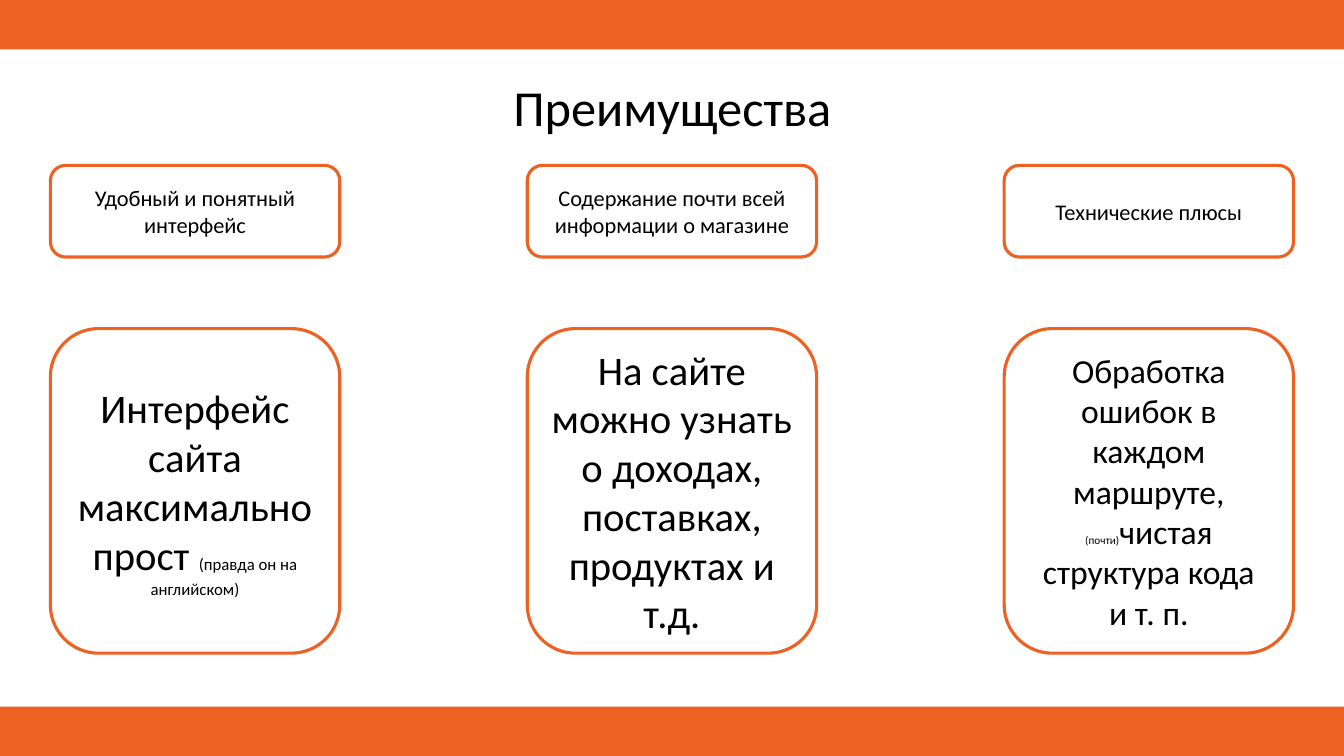
import dataclasses

import pptx
import pptx.dml.color
import pptx.enum.shapes
import pptx.enum.text
import pptx.util

Inches = pptx.util.Inches
Color = pptx.dml.color.RGBColor.from_string
Shape = pptx.enum.shapes.MSO_SHAPE
Text = pptx.enum.text


@dataclasses.dataclass(frozen=True)
class Theme:
    accent: str = "ED6223"
    paper: str = "FFFFFF"
    ink: str = "000000"
    font: str = "Calibri"
    title: int = 36
    head: int = 16
    body: int = 29
    dense: int = 24
    note: int = 12
    tiny: int = 8
    edge: float = 2.25


THEME = Theme()
FRAME = {
    "word_wrap": True,
    "auto_size": Text.MSO_AUTO_SIZE.NONE,
    "vertical_anchor": Text.MSO_ANCHOR.MIDDLE,
}

# Each column: heading, then body paragraphs made of (text, size) runs.
COLUMNS = [
    ("Удобный и понятный интерфейс",
     [[("Интерфейс сайта максимально прост ", THEME.body),
       ("(правда он на английском)", THEME.note)]]),
    ("Содержание почти всей информации о магазине",
     [[("На сайте можно узнать о доходах, поставках, продуктах и т.д.",
        THEME.body)]]),
    ("Технические плюсы",
     [[("Обработка ошибок в каждом маршруте, ", THEME.dense),
       ("(почти)", THEME.tiny),
       ("чистая структура кода", THEME.dense)],
      [("и т. п.", THEME.dense)]]),
]


def style(item, values):
    for name, value in values.items():
        setattr(item, name, value)


def write(shape, paras):
    """Fill a shape with centred paragraphs of (text, size) runs."""
    frame = shape.text_frame
    style(frame, FRAME)
    for index, runs in enumerate(paras):
        para = frame.add_paragraph() if index else frame.paragraphs[0]
        para.alignment = Text.PP_ALIGN.CENTER
        for text, size in runs:
            run = para.add_run()
            run.text = text
            style(run.font, {"name": THEME.font, "size": pptx.util.Pt(size)})
            run.font.color.rgb = Color(THEME.ink)


def add_bar(slide, left, top, width, height):
    bar = slide.shapes.add_shape(
        Shape.RECTANGLE, *map(Inches, (left, top, width, height)))
    bar.shadow.inherit = False
    bar.fill.solid()
    bar.fill.fore_color.rgb = Color(THEME.accent)
    bar.line.fill.background()


def add_title(slide, left, top, width, height, text):
    title = slide.shapes.title
    style(title, {"left": Inches(left), "top": Inches(top),
                  "width": Inches(width), "height": Inches(height)})
    write(title, [[(text, THEME.title)]])


def add_card(slide, left, top, width, height, paras):
    card = slide.shapes.add_shape(
        Shape.ROUNDED_RECTANGLE, *map(Inches, (left, top, width, height)))
    card.shadow.inherit = False
    card.fill.solid()
    card.fill.fore_color.rgb = Color(THEME.paper)
    card.line.color.rgb = Color(THEME.accent)
    card.line.width = pptx.util.Pt(THEME.edge)
    write(card, paras)


def add_column(slide, left, top, width, height, head, paras):
    """Stack a heading card and a body card inside the box."""
    small, gap = 0.91, 0.71
    add_card(slide, left, top, width, small, [[(head, THEME.head)]])
    start = small + gap
    add_card(slide, left, top + start, width, height - start, paras)


def main():
    deck = pptx.Presentation()
    wide, high = 13.33, 7.5
    style(deck, {"slide_width": Inches(wide), "slide_height": Inches(high)})
    slide = deck.slides.add_slide(deck.slide_layouts[5])
    thick = 0.49
    for top in (0, high - thick):
        add_bar(slide, 0, top, wide, thick)
    add_title(slide, 4.83, 0.56, 3.68, 1, "Преимущества")
    margin, width = 0.5, 2.87
    step = (wide - 2 * margin - width) / (len(COLUMNS) - 1)
    for index, (head, paras) in enumerate(COLUMNS):
        add_column(slide, margin + index * step, 1.64, width, 4.84, head, paras)
    deck.save("out.pptx")


if __name__ == "__main__":
    main()
